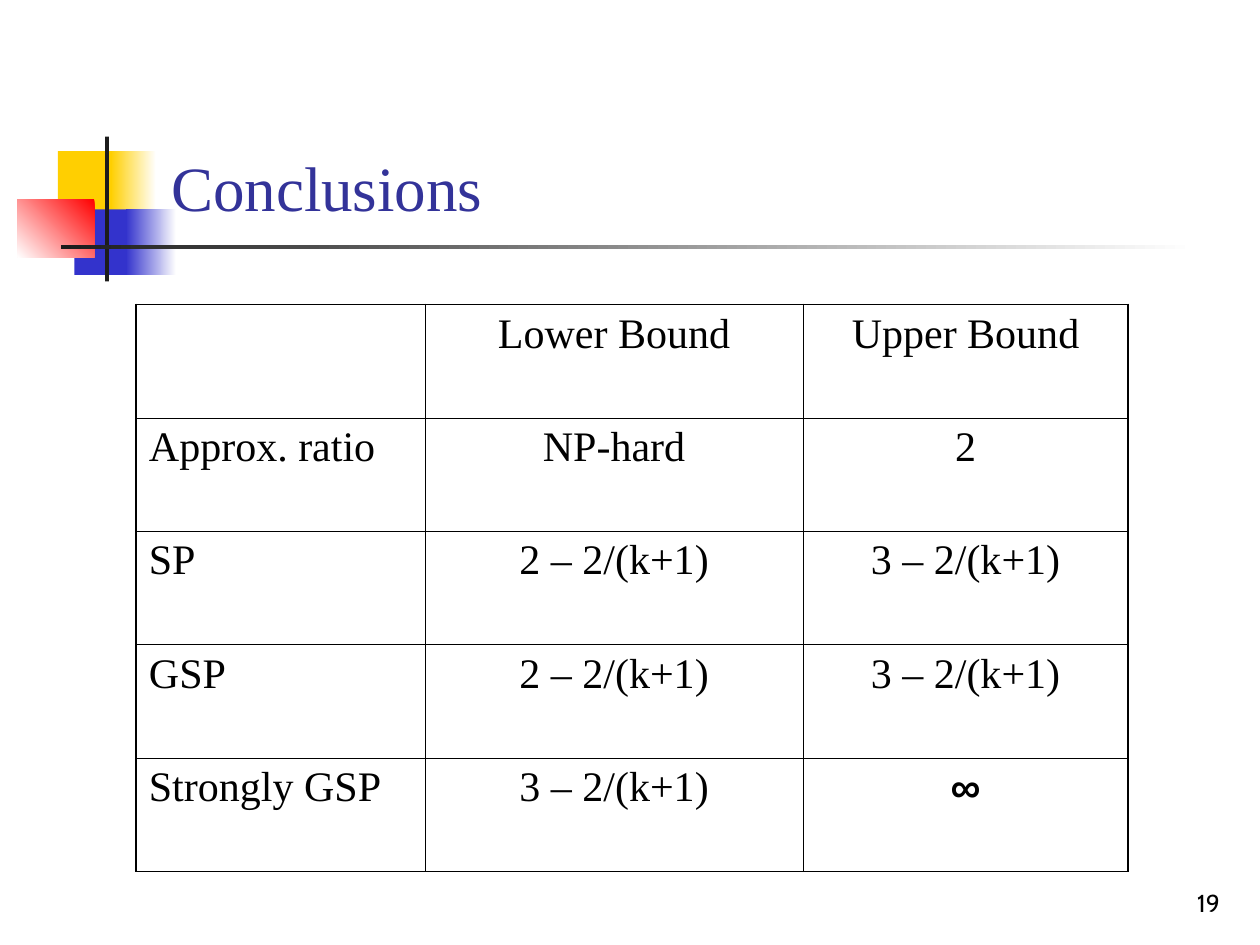
from dataclasses import dataclass

from lxml import etree
from pptx import Presentation
from pptx.dml.color import RGBColor
from pptx.enum.shapes import MSO_SHAPE
from pptx.enum.text import MSO_ANCHOR, PP_ALIGN
from pptx.oxml.ns import qn
from pptx.util import Pt

RECT = MSO_SHAPE.RECTANGLE
BOTTOM = MSO_ANCHOR.BOTTOM
LEFT, CENTER, RIGHT = PP_ALIGN.LEFT, PP_ALIGN.CENTER, PP_ALIGN.RIGHT

COLORS = {
    "white": "FFFFFF", "yellow": "FFCF01", "blue": "3333CC", "red": "FF0000",
    "dark": "1C1C1C", "title": "333399", "black": "000000",
}
SERIF = "Times New Roman"


@dataclass
class Block:
    """A rectangle in points; an end colour makes it a gradient at a clockwise angle."""
    left: float
    top: float
    width: float
    height: float
    color: str
    end: str = ""
    angle: float = 180


@dataclass
class Label:
    text: str
    left: float
    top: float
    width: float
    height: float
    align: PP_ALIGN
    font: dict


BLOCKS = [
    Block(33.12, 86.4, 34.56, 37.44, "yellow"),
    Block(63.36, 86.4, 25.92, 37.44, "white", "yellow"),
    Block(42.48, 119.7, 33.12, 37.44, "blue"),
    Block(72, 119.7, 28.8, 37.44, "white", "blue"),
    Block(10, 113.76, 44, 33.3, "red", "white", 135),
    Block(60, 78, 2.3, 82.8, "dark"),
    Block(34.8, 140, 648, 2.5, "white", "dark"),
]

LABELS = [
    Label("Conclusions", 90.72, 16.56, 613.44, 115.2, LEFT,
          {"size": Pt(36), "name": SERIF, "color": "title"}),
    Label("19", 554.4, 491.76, 149.76, 36, RIGHT,
          {"size": Pt(14), "name": "Cabin", "color": "black"}),
]

CELL_FONT = {"size": Pt(24), "name": SERIF, "color": "black"}
INFINITY_FONT = CELL_FONT | {"name": "Arial", "bold": True}
TABLE_LEFT, TABLE_TOP = 77.9, 174
COLUMN_WIDTHS = [165, 216, 185.7]
ROW_HEIGHT = 64.8
OUTER_LINE, INNER_LINE = 1.08, 0.45
BOUNDS = [
    ["", "Lower Bound", "Upper Bound"],
    ["Approx. ratio", "NP-hard", "2"],
    ["SP", "2 – 2/(k+1)", "3 – 2/(k+1)"],
    ["GSP", "2 – 2/(k+1)", "3 – 2/(k+1)"],
    ["Strongly GSP", "3 – 2/(k+1)", "∞"],
]


def rgb(name: str) -> RGBColor:
    return RGBColor.from_string(COLORS[name])


def write(p, text: str, align: PP_ALIGN, font: dict) -> None:
    p.alignment = align
    r = p.add_run()
    r.text = text
    for key, value in font.items():
        if key == "color":
            r.font.color.rgb = rgb(value)
        else:
            setattr(r.font, key, value)


def draw_block(s, block: Block) -> None:
    sp = s.shapes.add_shape(RECT, Pt(block.left), Pt(block.top),
                            Pt(block.width), Pt(block.height))
    sp.shadow.inherit = False
    sp.line.fill.background()
    if not block.end:
        sp.fill.solid()
        sp.fill.fore_color.rgb = rgb(block.color)
        return
    sp.fill.gradient()
    sp.fill.gradient_angle = 360 - block.angle
    for stop, color, position in zip(sp.fill.gradient_stops, (block.color, block.end), (0, 1)):
        stop.color.rgb = rgb(color)
        stop.position = position


def draw_label(s, label: Label) -> None:
    tf = s.shapes.add_textbox(Pt(label.left), Pt(label.top),
                              Pt(label.width), Pt(label.height)).text_frame
    tf.word_wrap = True
    tf.vertical_anchor = BOTTOM
    write(tf.paragraphs[0], label.text, label.align, label.font)


def set_borders(cell, widths: dict[str, float]) -> None:
    """Put the border lines ahead of the cell fill, as the schema requires."""
    tc_pr = cell._tc.get_or_add_tcPr()
    for index, (side, width) in enumerate(widths.items()):
        line = etree.Element(qn(f"a:ln{side}"), w=str(int(Pt(width))))
        fill = etree.SubElement(line, qn("a:solidFill"))
        etree.SubElement(fill, qn("a:srgbClr"), val=COLORS["black"])
        tc_pr.insert(index, line)


def draw_table(s, rows: list[list[str]]) -> None:
    last_row, last_col = len(rows) - 1, len(COLUMN_WIDTHS) - 1
    table = s.shapes.add_table(len(rows), len(COLUMN_WIDTHS), Pt(TABLE_LEFT), Pt(TABLE_TOP),
                               Pt(sum(COLUMN_WIDTHS)), Pt(ROW_HEIGHT * len(rows))).table
    table.first_row = table.horz_banding = False
    for column, width in zip(table.columns, COLUMN_WIDTHS):
        column.width = Pt(width)
    for i, row in enumerate(rows):
        table.rows[i].height = Pt(ROW_HEIGHT)
        for j, text in enumerate(row):
            cell = table.cell(i, j)
            cell.fill.background()
            on_edge = {"L": j == 0, "R": j == last_col, "T": i == 0, "B": i == last_row}
            set_borders(cell, {side: OUTER_LINE if edge else INNER_LINE
                               for side, edge in on_edge.items()})
            if text:
                p = cell.text_frame.paragraphs[0]
                p.space_before = Pt(6)
                write(p, text, CENTER if j else LEFT,
                      INFINITY_FONT if text == "∞" else CELL_FONT)


def main() -> None:
    prs = Presentation()
    prs.slide_width, prs.slide_height = Pt(720), Pt(540)
    s = prs.slides.add_slide(prs.slide_layouts[6])
    for block in BLOCKS:
        draw_block(s, block)
    for label in LABELS:
        draw_label(s, label)
    draw_table(s, BOUNDS)
    prs.save("out.pptx")


if __name__ == "__main__":
    main()
